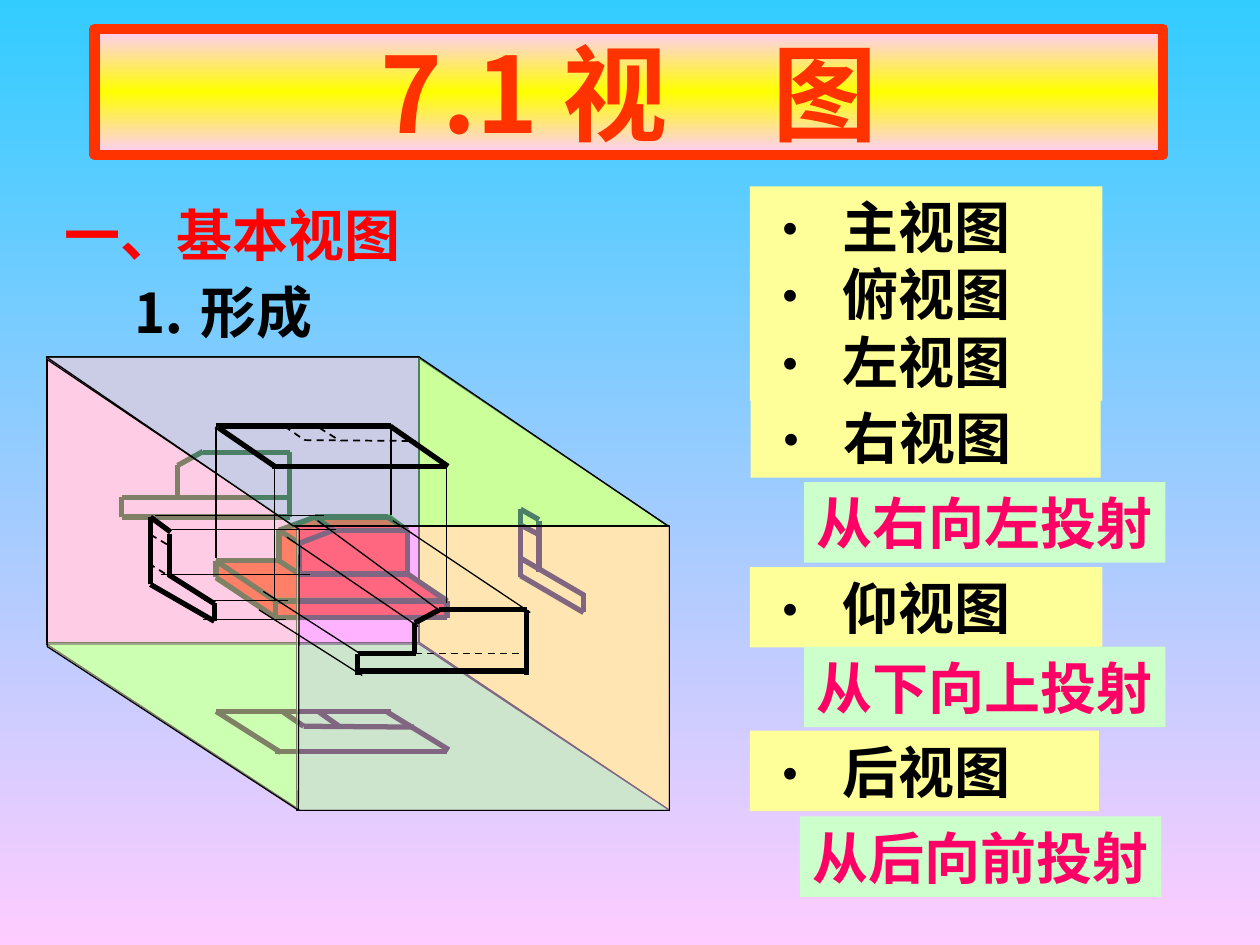
from copy import deepcopy
from itertools import pairwise

from lxml import etree
from pptx import Presentation
from pptx.dml.color import RGBColor
from pptx.enum.dml import MSO_LINE
from pptx.enum.shapes import MSO_CONNECTOR, MSO_SHAPE
from pptx.enum.text import MSO_ANCHOR, PP_ALIGN
from pptx.oxml.ns import qn
from pptx.util import Pt

RECTANGLE, STRAIGHT = MSO_SHAPE.RECTANGLE, MSO_CONNECTOR.STRAIGHT
DASH, MIDDLE = MSO_LINE.DASH, MSO_ANCHOR.MIDDLE
LEFT, CENTER = PP_ALIGN.LEFT, PP_ALIGN.CENTER
CHINESE_FONT, LATIN_FONT = "Noto Sans CJK SC", "Times New Roman"
THICK, MEDIUM, THIN = 3, 1, 0.75
COLOURS = {
    "sky": "33CCFF", "pink": "FFCCFF", "yellow": "FFFF00", "orange": "FF3300",
    "red": "FF0000", "black": "000000", "green": "008000", "rose": "FF0066",
    "label": "FFFF99", "hint": "CCFFCC", "right": "FFFF66", "back": "FF99FF",
    "bottom": "99FF99", "left": "FFFFCC", "top": "99FFCC",
}

RIGHT_PLANE = [(213, 163), (356, 259), (356, 97), (212, 0)]
BACK_PLANE = [(0, 0), (213, 0), (213, 163), (0, 163)]
BOTTOM_PLANE = [(0, 164), (213, 164), (356, 259), (145, 259)]
FRONT_PLANE = [(143, 96.5), (356, 96.5), (356, 259), (143, 259)]
LEFT_PLANE = [(0.5, 165.5), (144, 259), (144.5, 98.5), (0.5, 1.5)]
TOP_PLANE = [(0, 0), (213, 0), (355, 96.5), (141, 96.5)]

RIGHT_VIEW = [
    [(271, 125), (307, 146), (307, 135)],
    [(271, 115), (307, 136)],
    [(271, 126), (271, 87), (281.5, 93)],
    [(281.5, 93.5), (281.5, 123)],
    [(271, 96), (281.5, 101.5)],
]
BACK_VIEW = [
    [(139, 91.5), (43, 91.5), (43, 80)],
    [(43, 80.5), (139, 80.5)],
    [(139, 91.5), (139, 54.5), (89.5, 54.5)],
    [(75, 80), (75, 62), (89.5, 54)],
]
BOTTOM_VIEW = [
    [(130.5, 225.5), (229, 225.5)],
    [(97, 202.5), (197, 202.5)],
    [(97, 202.5), (134, 226)],
    [(195, 203), (230, 224.5)],
    [(135.5, 203), (147, 211), (210, 211.5)],
    [(156, 203), (168, 211.5)],
]
SOLID_FACES = [
    [(97, 116.5), (132, 137.5), (132, 150), (97, 127.5)],
    [(131, 139.5), (229, 138), (229, 149), (130.5, 150)],
    [(132.5, 116.5), (97, 116.5), (129, 138), (229, 138),
     (207.5, 124), (143.5, 124), (132.5, 116.5)],
    [(143.5, 124), (206, 124), (206, 98.5), (165, 98.5), (143.5, 106)],
    [(132.5, 98.5), (144.5, 104.5), (144.5, 124.5), (132.5, 116.5)],
    [(132.5, 98.5), (143.5, 106.5), (163.5, 98.5), (155.5, 91.5)],
    [(155, 90.5), (196.5, 90.5), (206.5, 98.5), (162, 98.5)],
]
SOLID_EDGES = [
    [(131, 139.5), (229, 139.5), (229, 149), (131, 149), (131, 139.5)],
    [(131, 149), (97, 126), (97, 116.5), (131, 139.5)],
    [(97, 116.5), (133, 116.5), (144.5, 124), (206.5, 124), (229, 139.5)],
    [(206.5, 124), (206.5, 99), (195, 91.5), (153.5, 91.5), (133, 99),
     (144.5, 106.5), (164, 99), (153.5, 91.5)],
    [(164, 99), (206.5, 99)],
    [(144.5, 106.5), (144.5, 124)],
    [(133, 99), (133, 116.5)],
]
FRONT_VIEW = [
    [(276, 179.5), (178, 179.5)],
    [(178, 181.5), (178, 169.5), (211, 169.5)],
    [(274.5, 181.5), (274.5, 144.5), (224.5, 144.5), (210.5, 152),
     (210.5, 170)],
]
FRONT_HIDDEN = [[(210.5, 169.5), (275, 169.5)]]
LEFT_VIEW = [
    [(59.5, 130), (96, 151), (96, 140.5)],
    [(70, 124.5), (96, 141)],
    [(59.5, 130), (59.5, 91.5), (71, 100)],
    [(70.5, 101), (70.5, 126)],
]
LEFT_HIDDEN = [[(59.5, 101.5), (70.5, 108)], [(58.5, 118), (70.5, 125.5)]]
TOP_VIEW = [
    [(129, 62.5), (229, 62.5)],
    [(97, 39.5), (197, 39.5)],
    [(97, 39.5), (130.5, 62.5)],
    [(196.5, 39.5), (229.5, 62.5)],
]
TOP_HIDDEN = [[(136, 39.5), (147.5, 47.5), (211, 48)], [(156, 40.5), (168, 48)]]
PROJECTORS = [
    [[(228.5, 140.5), (228.5, 60.5)], [(130.5, 139.5), (130.5, 62.5)],
     [(97, 115), (97, 41)], [(197, 90.5), (197, 39.5)]],
    [[(137, 150), (89.5, 150)], [(158.5, 90.5), (62, 90.5)],
     [(150.5, 124.5), (65.5, 124.5)], [(138, 139), (90, 139)],
     [(165.5, 98.5), (72, 98.5)]],
    [[(121.5, 144.5), (180.5, 182)], [(124, 134), (180, 170)],
     [(137.5, 103), (212.5, 154)], [(155, 93.5), (225.5, 145.5)],
     [(198, 93.5), (276.5, 146)]],
]


def colour(name):
    """Return a named colour."""
    return RGBColor.from_string(COLOURS[name])


def paint_gradient(fill, owner, names):
    """Fill from top to bottom with evenly spaced colours."""
    fill.gradient()
    fill.gradient_angle = 270
    stop_list = owner.find(".//" + qn("a:gsLst"))
    while len(stop_list) < len(names):
        stop_list.append(deepcopy(stop_list[0]))
    for index, (stop, name) in enumerate(zip(fill.gradient_stops, names)):
        stop.position = index / (len(names) - 1)
        stop.color.rgb = colour(name)


def draw_lines(shapes, box, paths, width, dashed=False):
    """Draw each path as straight connectors."""
    left, top = box
    for path in paths:
        for (x1, y1), (x2, y2) in pairwise(path):
            line = shapes.add_connector(
                STRAIGHT, Pt(left + x1), Pt(top + y1), Pt(left + x2), Pt(top + y2))
            line.line.color.rgb = colour("black")
            line.line.width = Pt(width)
            if dashed:
                line.line.dash_style = DASH
            etree.SubElement(line._element.spPr, qn("a:effectLst"))


def draw_face(shapes, box, points, fill, edge="black", width=THIN, alpha=None):
    """Draw a filled polygon, see-through when alpha is given."""
    left, top = box
    corners = [(Pt(left + x), Pt(top + y)) for x, y in points]
    builder = shapes.build_freeform(*corners[0], scale=1.0)
    builder.add_line_segments(corners[1:], close=True)
    face = builder.convert_to_shape()
    face.shadow.inherit = False
    face.fill.solid()
    face.fill.fore_color.rgb = colour(fill)
    face.line.color.rgb = colour(edge)
    face.line.width = Pt(width)
    if alpha:
        value = face._element.spPr.find(qn("a:solidFill")).find(qn("a:srgbClr"))
        etree.SubElement(value, qn("a:alpha"), val=str(alpha * 1000))


def draw_back_and_solid(slide, box):
    """Draw the three rear planes with their views and the solid."""
    shapes = slide.shapes.add_group_shape().shapes
    for plane, fill, view in ((RIGHT_PLANE, "right", RIGHT_VIEW),
                              (BACK_PLANE, "back", BACK_VIEW),
                              (BOTTOM_PLANE, "bottom", BOTTOM_VIEW)):
        draw_face(shapes, box, plane, fill)
        draw_lines(shapes, box, view, THICK)
    for face in SOLID_FACES:
        draw_face(shapes, box, face, "red", "green", MEDIUM)
    draw_lines(shapes, box, SOLID_EDGES, THICK)


def draw_front_planes(slide, box):
    """Draw the three see-through planes, their views and the projectors."""
    for plane, fill, view, hidden in (
            (FRONT_PLANE, "pink", FRONT_VIEW, FRONT_HIDDEN),
            (LEFT_PLANE, "left", LEFT_VIEW, LEFT_HIDDEN),
            (TOP_PLANE, "top", TOP_VIEW, TOP_HIDDEN)):
        draw_face(slide.shapes, box, plane, fill, alpha=50)
        shapes = slide.shapes.add_group_shape().shapes
        draw_lines(shapes, box, view, THICK)
        draw_lines(shapes, box, hidden, MEDIUM, dashed=True)
    for projectors in PROJECTORS:
        draw_lines(slide.shapes.add_group_shape().shapes, box, projectors, THIN)


def add_text(slide, box, text, ink, fill=None, size=32, align=LEFT,
             font=LATIN_FONT, bullet=False):
    """Add a box of bold text, one paragraph for each line."""
    lengths = [Pt(value) for value in box]
    if fill:
        shape = slide.shapes.add_shape(RECTANGLE, *lengths)
        shape.shadow.inherit = False
        shape.fill.solid()
        shape.fill.fore_color.rgb = colour(fill)
        shape.line.fill.background()
    else:
        shape = slide.shapes.add_textbox(*lengths)
    frame = shape.text_frame
    frame.text = text
    frame.word_wrap = bullet
    frame.vertical_anchor = MIDDLE
    for paragraph in frame.paragraphs:
        paragraph.alignment = align
        if bullet:
            properties = paragraph._p.get_or_add_pPr()
            properties.set("marL", str(Pt(46)))
            properties.set("indent", str(-Pt(46)))
            etree.SubElement(properties, qn("a:buFont"), typeface=CHINESE_FONT)
            etree.SubElement(properties, qn("a:buChar"), char="•")
        for run in paragraph.runs:
            run.font.size = Pt(size)
            run.font.bold = True
            run.font.color.rgb = colour(ink)
            run.font.name = font
            etree.SubElement(run._r.get_or_add_rPr(), qn("a:ea"), typeface=CHINESE_FONT)
    return shape


def add_title(slide, box):
    """Add the framed title banner."""
    banner = add_text(slide, box, "7.1 视　图", "orange", "yellow", 60, CENTER,
                      CHINESE_FONT)
    paint_gradient(banner.fill, banner._element, ["pink", "yellow", "pink"])
    banner.line.color.rgb = colour("orange")
    banner.line.width = Pt(6)


def add_view_list(slide, box):
    """Add the list of views and the directions of projection."""
    left, top = box
    for x, y, width, height, text in (
            (0, 0, 201.5, 122.5, "主视图\n俯视图\n左视图"),
            (0, 311, 199.5, 46, "后视图"),
            (0, 217.5, 201.5, 46, "仰视图"),
            (0.5, 120.5, 200, 46, "右视图")):
        add_text(slide, (left + x, top + y, width, height), text, "black",
                 "label", bullet=True)
    for x, y, text in ((31, 169, "从右向左投射"), (31, 263, "从下向上投射"),
                       (28.5, 360, "从后向前投射")):
        add_text(slide, (left + x, top + y, 206.5, 46), text, "rose", "hint")


def main():
    """Build and save the slide."""
    presentation = Presentation()
    presentation.slide_width, presentation.slide_height = Pt(720), Pt(540)
    slide = presentation.slides.add_slide(presentation.slide_layouts[6])
    paint_gradient(slide.background.fill, slide.element, ["sky", "pink"])
    diagram = (26.5, 204)
    draw_back_and_solid(slide, diagram)
    add_title(slide, (54, 16.5, 610.5, 72))
    add_text(slide, (29.5, 111, 206.5, 46), "一、基本视图", "red", font=CHINESE_FONT)
    draw_front_planes(slide, diagram)
    add_text(slide, (67, 155, 119.5, 46), "⒈ 形成", "black", align=CENTER)
    add_view_list(slide, (428.5, 106.5))
    presentation.save("out.pptx")


if __name__ == "__main__":
    main()
